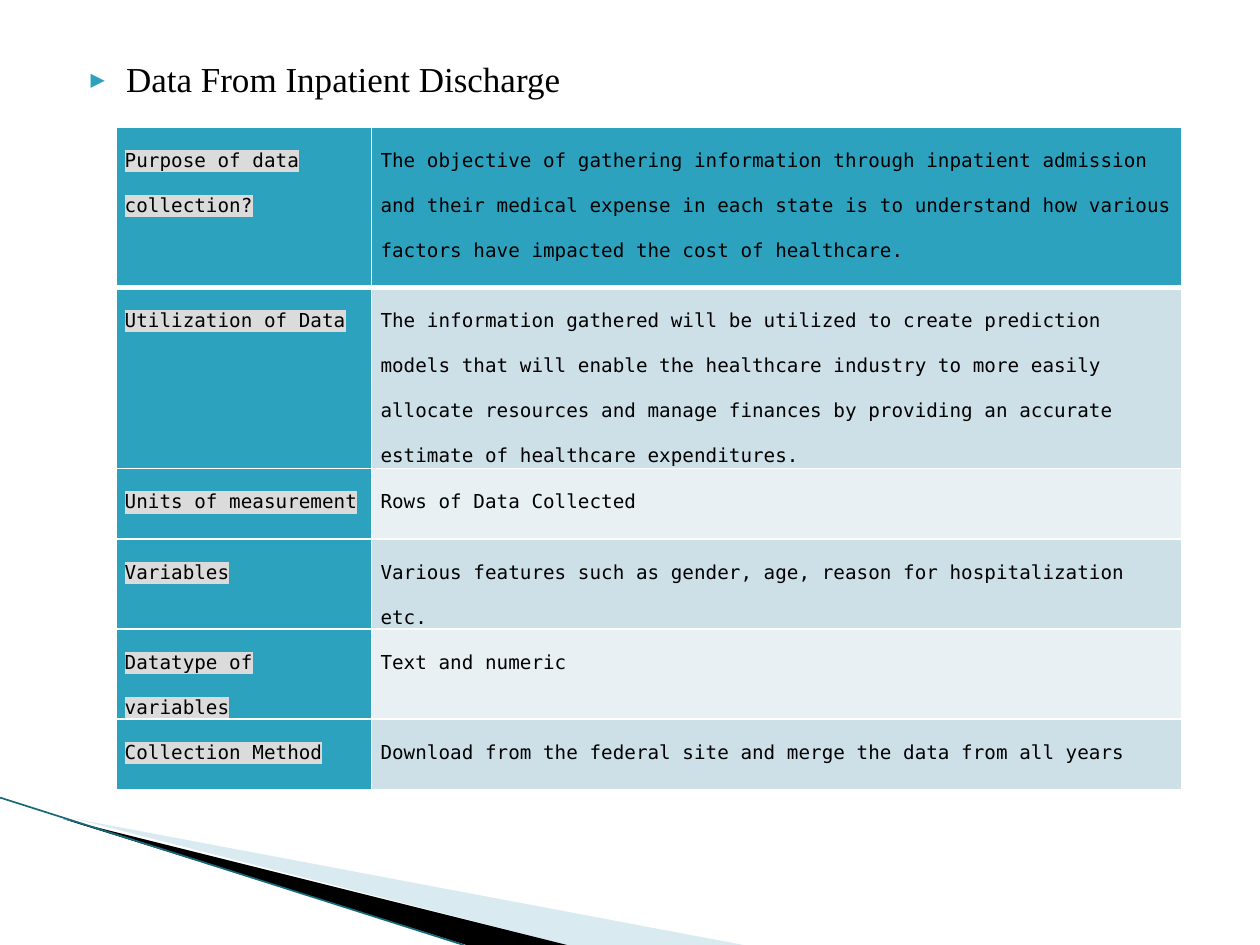
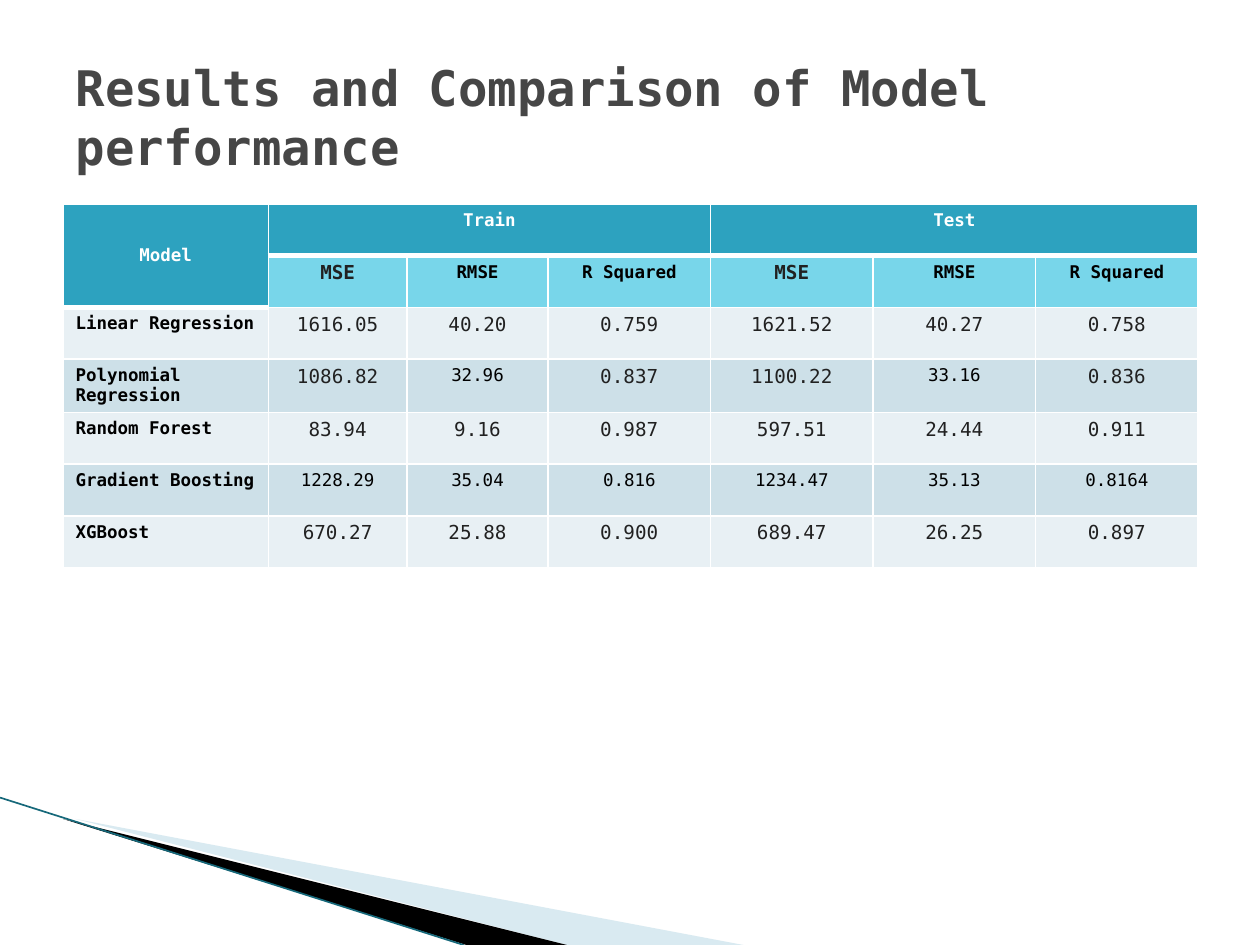
from lxml.etree import SubElement
from pptx import Presentation
from pptx.dml.color import RGBColor
from pptx.enum.shapes import MSO_CONNECTOR
from pptx.enum.text import MSO_ANCHOR, MSO_AUTO_SIZE, PP_ALIGN
from pptx.oxml.ns import qn
from pptx.util import Inches, Pt

COLS, ROWS = 100, 75
UNIT = Inches(0.1)
MONO, SERIF = "DejaVu Sans Mono", "Times New Roman"
COLORS = {
    "teal": "2DA2BF", "aqua": "78D6EA", "band": "CDE0E8", "light": "E8F0F4",
    "pale": "A0CBDC", "edge": "16687A", "mark": "DBDBDB", "title": "464646",
    "ink": "212121", "black": "000000", "white": "FFFFFF",
}

PURPOSE_ROWS = [
    ("Purpose of data collection?",
     "The objective of gathering information through inpatient admission and their medical "
     "expense in each state is to understand how various factors have impacted the cost of "
     "healthcare."),
    ("Utilization of Data",
     "The information gathered will be utilized to create prediction models that will enable "
     "the healthcare industry to more easily allocate resources and manage finances by "
     "providing an accurate estimate of healthcare expenditures."),
    ("Units of measurement", "Rows of Data Collected"),
    ("Variables", "Various features such as gender, age, reason for hospitalization etc."),
    ("Datatype of variables", "Text and numeric"),
    ("Collection Method", "Download from the federal site and merge the data from all years"),
]
METRICS = ["MSE", "RMSE", "R Squared"]
RESULTS = [
    ("Linear Regression", "1616.05", "40.20", "0.759", "1621.52", "40.27", "0.758"),
    ("Polynomial Regression", "1086.82", "32.96", "0.837", "1100.22", "33.16", "0.836"),
    ("Random Forest", "83.94", "9.16", "0.987", "597.51", "24.44", "0.911"),
    ("Gradient Boosting", "1228.29", "35.04", "0.816", "1234.47", "35.13", "0.8164"),
    ("XGBoost", "670.27", "25.88", "0.900", "689.47", "26.25", "0.897"),
]
SMALL_VALUES = {(3, 2), (3, 5)} | {(5, c) for c in range(1, 7)}


def rgb(name):
    """Return the named colour."""
    return RGBColor.from_string(COLORS[name])


def grid(*lengths):
    """Turn grid columns and rows into slide lengths."""
    return [round(n * UNIT) for n in lengths]


def add_run(p, text, size, color, font=MONO, bold=False):
    """Append a formatted run to a paragraph."""
    r = p.add_run()
    r.text = text
    r.font.size, r.font.name, r.font.bold = Pt(size), font, bold
    r.font.color.rgb = rgb(color)
    return r


def highlight(r):
    """Mark a run with the grey text background."""
    fill = r.font._element.find(qn("a:solidFill"))
    mark = SubElement(r.font._element, qn("a:highlight"))
    SubElement(mark, qn("a:srgbClr"), val=COLORS["mark"])
    fill.addnext(mark)


def place(sp, box):
    """Move a placeholder to a grid box and stop it resizing text."""
    sp.left, sp.top, sp.width, sp.height = grid(*box)
    sp.text_frame.auto_size = MSO_AUTO_SIZE.NONE
    sp.text_frame.word_wrap = True
    return sp.text_frame


def add_wedge(s, points, color, alpha=None):
    """Draw one triangle of the corner decoration."""
    builder = s.shapes.build_freeform(*points[0], scale=UNIT)
    builder.add_line_segments(points[1:], close=True)
    sp = builder.convert_to_shape()
    sp.shadow.inherit = False
    sp.line.fill.background()
    sp.fill.solid()
    sp.fill.fore_color.rgb = rgb(color)
    if alpha:
        clr = sp._element.spPr.find(qn("a:solidFill"))[0]
        SubElement(clr, qn("a:alpha"), val=str(alpha * 1000))


def add_corner(s):
    """Draw the wedges and edge line at the bottom left."""
    add_wedge(s, [(5.5, 65), (59.2, ROWS), (45.4, ROWS)], "pale", 40)
    add_wedge(s, [(5.3, 64.9), (45.4, ROWS), (36.8, ROWS)], "black")
    line = s.shapes.add_connector(MSO_CONNECTOR.STRAIGHT, *grid(0, 63.3, 36.8, ROWS))
    line.line.color.rgb = rgb("edge")
    line.line.width = Pt(0.95)
    SubElement(line._element.spPr, qn("a:effectLst"))


def style_cell(cell, fill, top, bottom):
    """Give a cell white borders and a solid fill."""
    tc_pr = cell._tc.get_or_add_tcPr()
    for side, width in (("L", 1), ("R", 1), ("T", top), ("B", bottom)):
        ln = SubElement(tc_pr, qn(f"a:ln{side}"), w=str(Pt(width)))
        SubElement(SubElement(ln, qn("a:solidFill")), qn("a:srgbClr"), val=COLORS["white"])
    cell.fill.solid()
    cell.fill.fore_color.rgb = rgb(fill)


def add_grid_table(s, box, widths, heights, head_rows, fill_at):
    """Add a table whose heavy rule follows each column's header rows."""
    shape = s.shapes.add_table(len(heights), len(widths), *grid(*box))
    table = shape.table
    for col, width in zip(table.columns, grid(*widths)):
        col.width = width
    for row, height in zip(table.rows, grid(*heights)):
        row.height = height
    for r in range(len(heights)):
        for c, heads in enumerate(head_rows):
            style_cell(table.cell(r, c), fill_at(r, c),
                       3 if r == heads else 1, 3 if r == heads - 1 else 1)
    return table


def add_bullet_heading(s, text, box):
    """Write the bulleted heading in the body placeholder."""
    p = place(s.placeholders[1], box).paragraphs[0]
    p.space_before = Pt(4)
    add_run(p, text, 20, "black", SERIF)
    p_pr = p._p.get_or_add_pPr()
    p_pr.set("marL", str(Inches(0.4)))
    p_pr.set("indent", str(Inches(-0.28)))
    SubElement(SubElement(p_pr, qn("a:buClr")), qn("a:srgbClr"), val=COLORS["teal"])
    SubElement(p_pr, qn("a:buSzPct"), val="68000")
    SubElement(p_pr, qn("a:buFont"), typeface=MONO)
    SubElement(p_pr, qn("a:buChar"), char="▶")


def add_purpose_table(s, box):
    """Fill the two-column table that describes the data."""
    def fill_at(r, c):
        return "teal" if r == 0 or c == 0 else ("light", "band")[r % 2]

    width = box[2]
    table = add_grid_table(s, box, [width * 0.24, width * 0.76],
                           [12.7, 14.4, 5.6, 5.5, 5.6, 5.6], [1, 1], fill_at)
    for r, texts in enumerate(PURPOSE_ROWS):
        for c, text in enumerate(texts):
            cell = table.cell(r, c)
            cell.margin_left = cell.margin_right = Inches(0.07)
            cell.margin_top = cell.margin_bottom = 0
            p = cell.text_frame.paragraphs[0]
            p.line_spacing = 2.0
            run = add_run(p, text, 11, "black")
            if c == 0:
                highlight(run)


def add_results_table(s, box):
    """Fill the table of model scores."""
    def fill_at(r, c):
        if r == 0 or (r == 1 and c == 0):
            return "teal"
        return "aqua" if r == 1 else ("light", "band")[r % 2]

    def write(r, c, text, size, color, bold, align=PP_ALIGN.CENTER):
        p = table.cell(r, c).text_frame.paragraphs[0]
        p.alignment = align
        add_run(p, text, size, color, bold=bold)

    table = add_grid_table(s, box, [16.3, 11, 11.2] + [12.9] * 4, [4.1] * 7,
                           [2] + [1] * 6, fill_at)
    table.cell(0, 0).merge(table.cell(1, 0))
    table.cell(0, 0).vertical_anchor = MSO_ANCHOR.MIDDLE
    for c, text in ((0, "Model"), (1, "Train"), (4, "Test")):
        if c:
            table.cell(0, c).merge(table.cell(0, c + 2))
        write(0, c, text, 10, "white", True)
    for c, text in enumerate(METRICS * 2, 1):
        size, color = (11, "ink") if text == "MSE" else (10, "black")
        write(1, c, text, size, color, True)
    for r, (model, *scores) in enumerate(RESULTS, 2):
        write(r, 0, model, 10, "black", True, PP_ALIGN.LEFT)
        for c, score in enumerate(scores, 1):
            size, color = (10, "black") if (r, c) in SMALL_VALUES else (11, "ink")
            write(r, c, score, size, color, False)


def add_title(s, text, box):
    """Write the slide title in its placeholder."""
    tf = place(s.shapes.title, box)
    tf.vertical_anchor = MSO_ANCHOR.MIDDLE
    p = tf.paragraphs[0]
    p.alignment = PP_ALIGN.LEFT
    add_run(p, text, 28, "title", bold=True)


def build_data_slide(prs):
    """Build the slide on the inpatient discharge data."""
    s = prs.slides.add_slide(prs.slide_layouts[1])
    title = s.shapes.title._element
    title.getparent().remove(title)
    add_corner(s)
    add_bullet_heading(s, "Data From Inpatient Discharge", (5, 4.1, 90, 61.6))
    add_purpose_table(s, (9.2, 10.1, 84.6, 49.5))


def build_results_slide(prs):
    """Build the slide that compares the models."""
    s = prs.slides.add_slide(prs.slide_layouts[5])
    add_corner(s)
    add_results_table(s, (5, 16.2, 90, 28.9))
    add_title(s, "Results and Comparison of Model performance", (5, 3, 90, 12.5))


def main():
    """Build and save the presentation."""
    prs = Presentation()
    prs.slide_width, prs.slide_height = grid(COLS, ROWS)
    build_data_slide(prs)
    build_results_slide(prs)
    prs.save("out.pptx")


if __name__ == "__main__":
    main()
